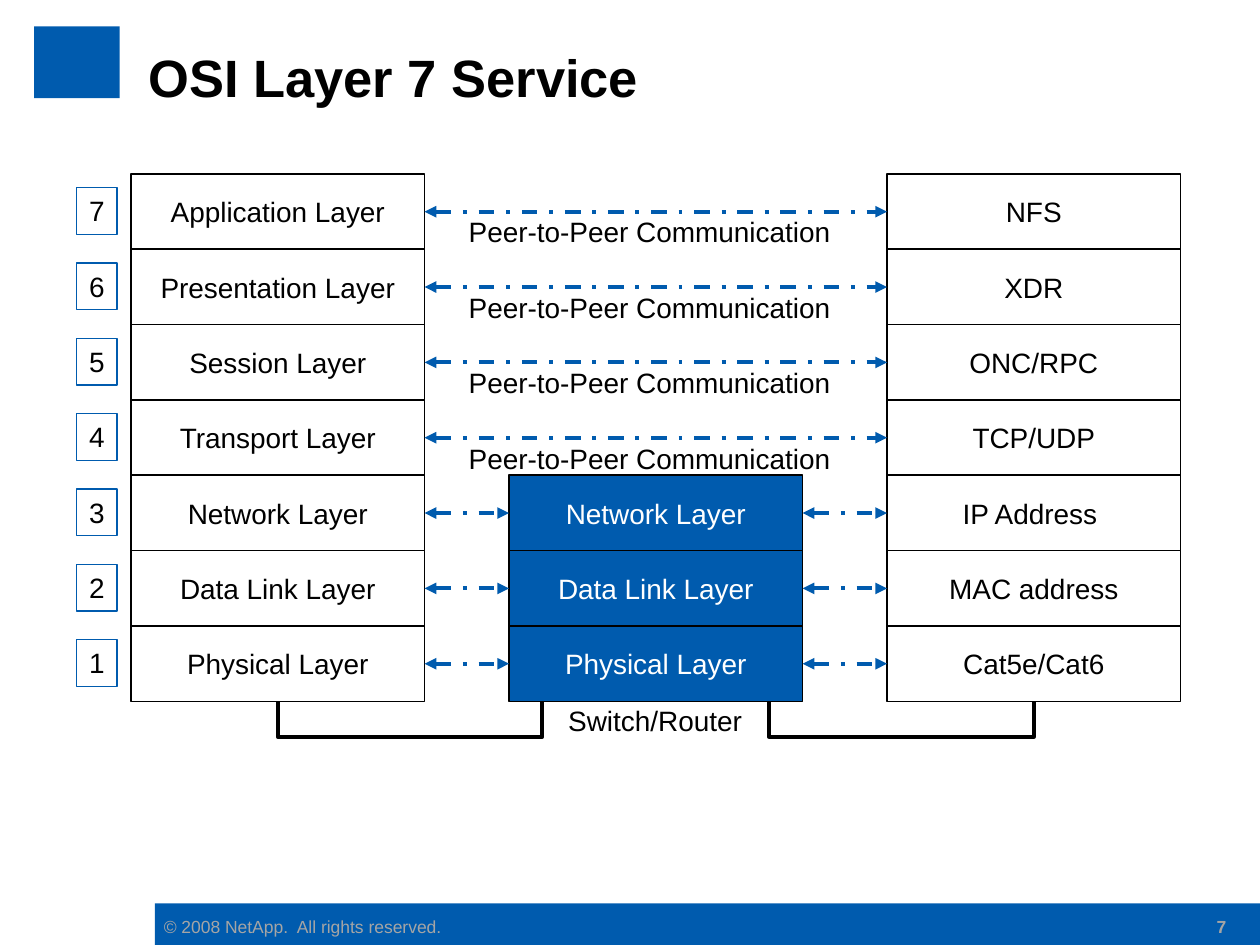
from dataclasses import dataclass

from lxml import etree
from pptx import Presentation
from pptx.dml.color import RGBColor
from pptx.enum.dml import MSO_LINE
from pptx.enum.shapes import MSO_CONNECTOR, MSO_SHAPE
from pptx.enum.text import MSO_ANCHOR, PP_ALIGN
from pptx.oxml.ns import qn
from pptx.util import Inches, Pt


@dataclass(frozen=True)
class Theme:
    font: str = "Arial"
    blue: RGBColor = RGBColor(0x00, 0x5B, 0xAE)
    black: RGBColor = RGBColor(0, 0, 0)
    white: RGBColor = RGBColor(255, 255, 255)
    grey: RGBColor = RGBColor(0xA5, 0xA5, 0xA5)
    title: int = 30
    body: int = 16
    small: int = 10


T = Theme()
ROW_H = Inches(0.6)
ROW_PITCH = Inches(0.598)
STACK_W = Inches(2.33)
STACK_TOP = Inches(1.38)
LAYERS = ["Application Layer", "Presentation Layer", "Session Layer", "Transport Layer",
          "Network Layer", "Data Link Layer", "Physical Layer"]
PROTOCOLS = ["NFS", "XDR", "ONC/RPC", "TCP/UDP", "IP Address ", "MAC address", "Cat5e/Cat6"]
SWITCH_ROW = 4


def write(shape, lines, size=T.body, color=T.black, bold=False, align=PP_ALIGN.LEFT,
          anchor=MSO_ANCHOR.TOP, wrap=False, inset=(0.1, 0.05), spacing=None, gap=0):
    tf = shape.text_frame
    tf.word_wrap = wrap
    tf.vertical_anchor = anchor
    tf.margin_left = tf.margin_right = Inches(inset[0])
    tf.margin_top = tf.margin_bottom = Inches(inset[1])
    for i, line in enumerate(lines):
        p = tf.add_paragraph() if i else tf.paragraphs[0]
        p.alignment = align
        if spacing:
            p.line_spacing = spacing
        if i and gap:
            p.space_before = Pt(gap)
        r = p.add_run()
        r.text = line
        r.font.name, r.font.size, r.font.bold = T.font, Pt(size), bold
        r.font.color.rgb = color


def add_text(s, box, *lines, **fmt):
    write(s.shapes.add_textbox(*box), lines, **fmt)


def add_box(s, box, fill=None, line=None, width=1):
    sp = s.shapes.add_shape(MSO_SHAPE.RECTANGLE, *box)
    sp.shadow.inherit = False
    if fill is None:
        sp.fill.background()
    else:
        sp.fill.solid()
        sp.fill.fore_color.rgb = fill
    if line is None:
        sp.line.fill.background()
    else:
        sp.line.color.rgb = line
        sp.line.width = Pt(width)
    return sp


def add_stack(s, left, top, labels, fill=T.white, color=T.black):
    """Pile one labelled box per layer and return the boxes from top to bottom."""
    boxes = []
    for i, label in enumerate(labels):
        sp = add_box(s, (left, top + i * ROW_PITCH, STACK_W, ROW_H), fill, T.black)
        write(sp, [label], color=color, align=PP_ALIGN.CENTER, anchor=MSO_ANCHOR.MIDDLE)
        boxes.append(sp)
    return boxes


def add_numbers(s, left, top, count):
    for i in range(count):
        sp = add_box(s, (left, top + i * ROW_PITCH, Inches(0.32), Inches(0.37)),
                     line=T.blue, width=0.75)
        write(sp, [str(count - i)])


def add_links(s, left_boxes, right_boxes):
    """Join facing boxes with double-headed dash-dot arrows."""
    for a, b in zip(left_boxes, right_boxes):
        c = s.shapes.add_connector(MSO_CONNECTOR.STRAIGHT, 0, 0, 0, 0)
        c.begin_connect(a, 3)
        c.end_connect(b, 1)
        c.line.color.rgb = T.blue
        c.line.width = Pt(2.25)
        c.line.dash_style = MSO_LINE.DASH_DOT
        ln = c.line._get_or_add_ln()
        for end in ("a:headEnd", "a:tailEnd"):
            etree.SubElement(ln, qn(end), type="triangle")
        etree.SubElement(c._element.spPr, qn("a:effectLst"))


def add_cable(s, start, end, top, bottom):
    """Draw a U-shaped cable hanging between two stacks."""
    fb = s.shapes.build_freeform(start, top)
    fb.add_line_segments([(start, bottom), (end, bottom), (end, top)], close=False)
    sp = fb.convert_to_shape()
    sp.shadow.inherit = False
    sp.fill.background()
    sp.line.color.rgb = T.black
    sp.line.width = Pt(2.25)


def add_header(s, left, top, width, height):
    add_box(s, (left, top + Inches(0.1), Inches(0.68), Inches(0.57)), T.blue)
    indent = Inches(0.81)
    add_text(s, (left + indent, top, width - indent, height), "OSI Layer 7 Service",
             size=T.title, bold=True, anchor=MSO_ANCHOR.MIDDLE, wrap=True, inset=(0.1, 0))


def add_footer(s, left, top, width, height):
    add_box(s, (left, top, width, height), T.blue)
    add_text(s, (left + Inches(0.07), top + Inches(0.1), Inches(2.21), Inches(0.17)),
             "© 2008 NetApp.  All rights reserved.", size=T.small, color=T.grey, inset=(0, 0))
    add_text(s, (left + width - Inches(0.92), top + Inches(0.05), Inches(0.75), Inches(0.25)),
             "7", size=T.small, color=T.grey, bold=True, align=PP_ALIGN.RIGHT, wrap=True)


def add_diagram(s, left, top):
    """Lay out the host, switch and protocol stacks with the links between them."""
    host_x = left + Inches(0.43)
    switch_x, protocol_x = host_x + Inches(3), host_x + Inches(6)
    switch_top = top + SWITCH_ROW * ROW_PITCH
    foot = top + (len(LAYERS) - 1) * ROW_PITCH + ROW_H
    for x, reach in ((host_x, Inches(2.1)), (protocol_x, -Inches(2.1))):
        middle = x + STACK_W // 2
        add_cable(s, middle, middle + reach, foot, foot + Inches(0.28))

    add_numbers(s, left, top + Inches(0.11), len(LAYERS))
    host = add_stack(s, host_x, top, LAYERS)
    switch = add_stack(s, switch_x, switch_top, LAYERS[SWITCH_ROW:], T.blue, T.white)
    protocols = add_stack(s, protocol_x, top, PROTOCOLS)

    add_links(s, host[:SWITCH_ROW], protocols[:SWITCH_ROW])
    add_links(s, host[SWITCH_ROW:], switch)
    add_links(s, switch, protocols[SWITCH_ROW:])

    add_text(s, (host_x + Inches(2.58), top + Inches(0.25), Inches(3.07), Inches(2.15)),
             *["Peer-to-Peer Communication"] * SWITCH_ROW,
             align=PP_ALIGN.CENTER, spacing=1.1, gap=22)
    add_text(s, (switch_x + Inches(0.37), foot - Inches(0.03), Inches(1.58), Inches(0.37)),
             "Switch/Router", align=PP_ALIGN.CENTER)


def main():
    prs = Presentation()
    prs.slide_width, prs.slide_height = Inches(10), Inches(7.5)
    s = prs.slides.add_slide(prs.slide_layouts[6])
    add_footer(s, Inches(1.23), Inches(7.17), Inches(8.77), Inches(0.33))
    add_header(s, Inches(0.27), Inches(0.11), Inches(9.58), Inches(1))
    add_diagram(s, Inches(0.61), STACK_TOP)
    prs.save("out.pptx")


if __name__ == "__main__":
    main()
